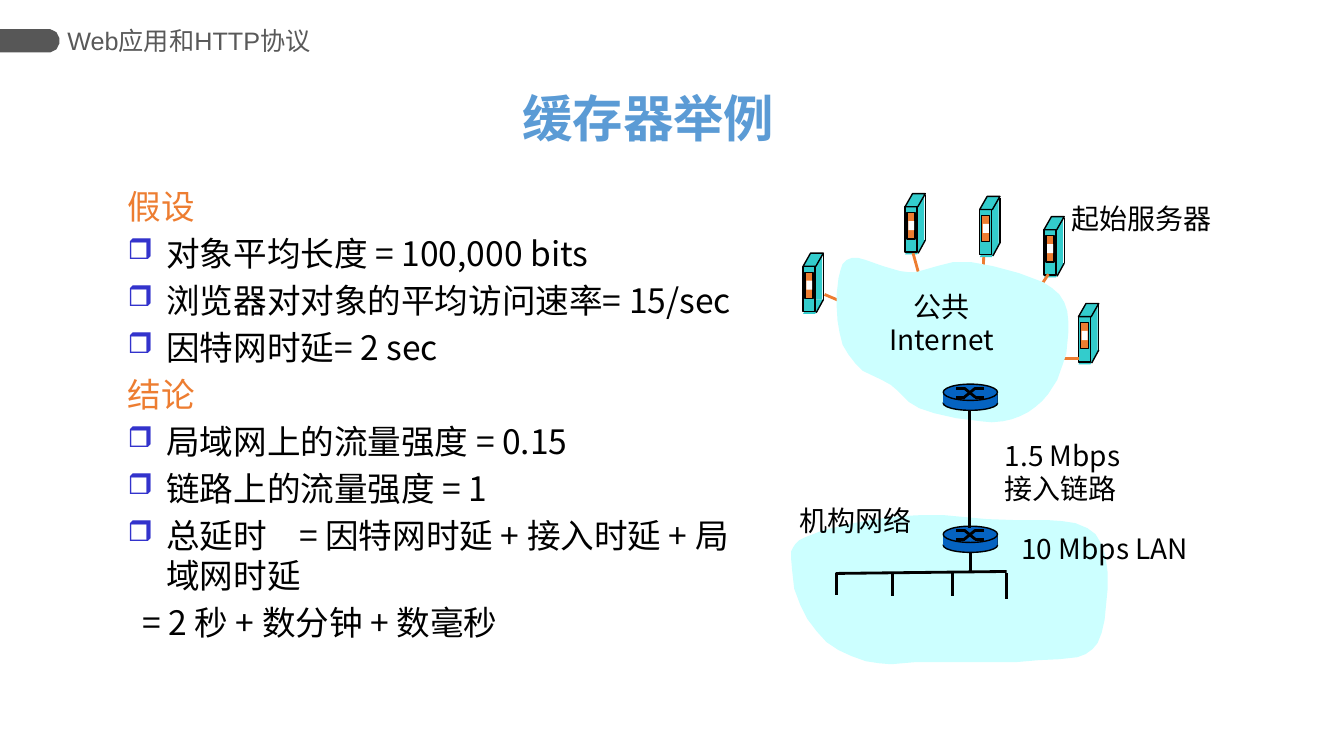
from dataclasses import dataclass
from math import cos, pi, sin
from typing import NamedTuple, Optional, Sequence, Union

from lxml.etree import SubElement
from pptx import Presentation
from pptx.dml.color import RGBColor
from pptx.enum.shapes import MSO_CONNECTOR, MSO_SHAPE
from pptx.enum.text import MSO_ANCHOR, PP_ALIGN
from pptx.oxml.ns import qn
from pptx.util import Cm, Pt


@dataclass(frozen=True)
class Theme:
    black: str = "000000"
    white: str = "FFFFFF"
    orange: str = "ED7D31"
    title: str = "5B9BD5"
    header: str = "595959"
    tab: str = "575757"
    bullet: str = "3333CC"
    server: str = "33CCCC"
    router: str = "0563C1"
    cloud: str = "CCFFFF"
    title_size: int = 36
    body_size: int = 24
    label_size: int = 20
    header_size: int = 18
    latin: str = "Arial"
    cjk: str = "Noto Sans CJK SC"


T = Theme()


class Block(NamedTuple):
    kind: MSO_SHAPE
    x: float
    y: float
    w: float
    h: float
    fill: str
    outlined: bool = False
    slant: Optional[float] = None


class Line(NamedTuple):
    x1: float
    y1: float
    x2: float
    y2: float
    color: str = T.black
    weight: float = 2


class Label(NamedTuple):
    lines: Sequence[str]
    x: float
    y: float
    w: float
    h: float
    align: PP_ALIGN


class Item(NamedTuple):
    text: str
    bulleted: bool = True
    color: str = T.black
    first: float = -0.97
    tab: Optional[float] = None


Part = Union[Block, Line]
RECT, OVAL, SLANTED = MSO_SHAPE.RECTANGLE, MSO_SHAPE.OVAL, MSO_SHAPE.PARALLELOGRAM

SERVER = [
    Block(SLANTED, 0, 1.17, 0.51, 0.36, T.server, slant=0.57),
    Block(RECT, 0.25, 0, 0.23, 1.17, T.server),
    Block(RECT, 0, 0.33, 0.3, 1.14, T.server, True),
    Block(SLANTED, 0, 0, 0.51, 0.33, T.server, True, 0.57),
    Line(0.51, 0.03, 0.51, 1.17, weight=1),
    Line(0.51, 1.17, 0.33, 1.5, weight=1),
    Block(RECT, 0.05, 0.48, 0.2, 0.66, T.orange, True),
    Block(RECT, 0.08, 0.69, 0.15, 0.23, T.white),
]
SERVERS_AT = [(20.24, 6.38), (22.81, 4.88), (24.69, 4.95), (26.31, 5.46), (27.18, 7.65)]
SERVER_LINKS = [
    Line(20.78, 7.42, 21.56, 7.75, T.orange),
    Line(23.01, 6.38, 23.22, 7.14, T.orange),
    Line(24.79, 6.48, 24.77, 7.14, T.orange),
    Line(26.42, 6.91, 26.04, 7.49, T.orange),
    Line(27.18, 9.04, 26.49, 9.04, T.orange),
]
ROUTER = [
    Block(OVAL, 0, 0.3, 1.37, 0.36, T.router, True),
    *[Line(x, 0.25, x, 0.48, weight=1) for x in (0, 1.37)],
    Block(RECT, 0, 0.25, 1.37, 0.23, T.router),
    Block(OVAL, 0, 0, 1.37, 0.41, T.router, True),
]
for a, b in ((0.1, 0.33), (0.33, 0.1)):
    ROUTER += [Line(0.33, a, 0.56, a), Line(0.79, b, 1.02, b), Line(0.53, a, 0.81, b)]

LAN = [Line(21.06, 14.45, 25.37, 14.4)]
LAN += [Line(x, 14.45, x, y) for x, y in
        ((21.08, 14.99), (22.5, 15.01), (24, 15.01), (25.37, 15.09))]
UPLINKS = [Line(24.43, 10.36, 24.43, 13.31), Line(24.46, 13.92, 24.46, 14.4)]

# Cloud outlines on a grid of 0.0254 cm
GRID = Cm(0.0254)
INTERNET = [
    (831, 318), (830, 302), (830, 293), (832, 276), (834, 268), (836, 262), (840, 258),
    (845, 256), (852, 256), (859, 258), (876, 264), (893, 269), (901, 270), (909, 270),
    (916, 268), (930, 264), (946, 260), (963, 260), (985, 264), (1011, 271), (1035, 280),
    (1044, 286), (1051, 292), (1056, 300), (1059, 309), (1060, 319), (1060, 330),
    (1058, 351), (1055, 360), (1049, 377), (1040, 391), (1034, 398), (1027, 404),
    (1020, 409), (1012, 413), (1004, 416), (995, 418), (984, 419), (973, 418), (949, 415),
    (927, 410), (912, 405), (902, 399), (891, 388), (884, 382), (875, 377), (856, 368),
    (849, 361), (842, 352), (836, 342), (833, 330)]
CAMPUS = [
    (786, 566), (785, 555), (785, 547), (787, 543), (789, 540), (793, 536), (799, 533),
    (817, 526), (842, 520), (869, 515), (894, 512), (915, 511), (936, 511), (957, 513),
    (979, 515), (1007, 516), (1039, 516), (1054, 517), (1067, 519), (1079, 524), (1087, 530),
    (1093, 540), (1097, 553), (1099, 568), (1099, 584), (1096, 615), (1093, 628),
    (1089, 638), (1084, 644), (1077, 649), (1069, 652), (1051, 654), (1030, 655),
    (1007, 657), (967, 657), (907, 657), (884, 659), (872, 658), (859, 656), (845, 651),
    (832, 645), (820, 637), (810, 626), (801, 614), (794, 600), (788, 584)]
HEADER_TAB = [(0, 29)] + [
    (47.5 + 11.5 * cos(k * pi / 16), 40.5 + 11.5 * sin(k * pi / 16)) for k in range(-8, 9)
] + [(0, 52)]

ITEMS = [
    Item("假设", False, T.orange),
    Item("对象平均长度 = 100,000 bits"),
    Item("浏览器对对象的平均访问速率= 15/sec"),
    Item("因特网时延= 2 sec"),
    Item("结论", False, T.orange),
    Item("局域网上的流量强度 = 0.15"),
    Item("链路上的流量强度 = 1"),
    Item("总延时\t= 因特网时延 + 接入时延 + 局域网时延", tab=4.32),
    Item("= 2 秒 + 数分钟 + 数毫秒", False, first=-0.6),
]
LABELS = [
    Label(["起始服务器"], 26.7, 4.95, 4.09, 1.12, PP_ALIGN.RIGHT),
    Label(["公共", "Internet"], 22.02, 7.16, 3.43, 1.96, PP_ALIGN.CENTER),
    Label(["机构网络"], 19.89, 12.57, 3.35, 1.12, PP_ALIGN.CENTER),
    Label(["10 Mbps LAN"], 25.25, 13.28, 5.18, 1.12, PP_ALIGN.CENTER),
    Label(["1.5 Mbps", "接入链路"], 25.07, 10.92, 4.8, 1.96, PP_ALIGN.LEFT),
]


def rgb(color: str) -> RGBColor:
    return RGBColor.from_string(color)


def draw_parts(shapes, parts: Sequence[Part], dx: float = 0, dy: float = 0) -> None:
    for part in parts:
        if isinstance(part, Line):
            sp = shapes.add_connector(MSO_CONNECTOR.STRAIGHT, Cm(part.x1 + dx), Cm(part.y1 + dy),
                                      Cm(part.x2 + dx), Cm(part.y2 + dy))
            SubElement(sp._element.spPr, qn("a:effectLst"))
            sp.line.color.rgb, sp.line.width = rgb(part.color), Pt(part.weight)
            continue
        sp = shapes.add_shape(part.kind, Cm(part.x + dx), Cm(part.y + dy), Cm(part.w), Cm(part.h))
        if part.slant:
            sp.adjustments[0] = part.slant
        fill_shape(sp, part.fill)
        if part.outlined:
            sp.line.color.rgb, sp.line.width = rgb(T.black), Pt(1)


def fill_shape(sp, color: str) -> None:
    sp.shadow.inherit = False
    sp.fill.solid()
    sp.fill.fore_color.rgb = rgb(color)
    sp.line.fill.background()


def draw_outline(shapes, points: Sequence[tuple], color: str) -> None:
    builder = shapes.build_freeform(*points[0], scale=GRID)
    builder.add_line_segments(points[1:], close=True)
    fill_shape(builder.convert_to_shape(), color)


def add_box(shapes, x: float, y: float, w: float, h: float, **frame):
    tf = shapes.add_textbox(Cm(x), Cm(y), Cm(w), Cm(h)).text_frame
    for name, value in {"word_wrap": True, **frame}.items():
        setattr(tf, name, value)
    return tf


def write(p, text: str, size: int, color: str, font: str = T.cjk, bold: bool = False) -> None:
    r = p.add_run()
    r.text = text
    for name, value in {"name": font, "size": Pt(size), "bold": bold}.items():
        setattr(r.font, name, value)
    r.font.color.rgb = rgb(color)
    SubElement(r.font._element, qn("a:ea"), typeface=T.cjk)


def next_paragraph(tf, index: int):
    return tf.add_paragraph() if index else tf.paragraphs[0]


def format_item(p, item: Item) -> None:
    """Set the hanging indent, bullet and tab stop of a list paragraph."""
    pPr = p._p.get_or_add_pPr()
    pPr.set("marL", str(Cm(0.97)))
    pPr.set("indent", str(Cm(item.first)))
    if item.bulleted:
        SubElement(SubElement(pPr, qn("a:buClr")), qn("a:srgbClr"), val=T.bullet)
        SubElement(pPr, qn("a:buSzPct"), val="85000")
        SubElement(pPr, qn("a:buChar"), char="❒")
    else:
        SubElement(pPr, qn("a:buNone"))
    if item.tab:
        SubElement(SubElement(pPr, qn("a:tabLst")), qn("a:tab"), pos=str(Cm(item.tab)), algn="l")


def add_texts(shapes) -> None:
    tf = add_box(shapes, 5.69, 1.47, 21.59, 3.18, vertical_anchor=MSO_ANCHOR.MIDDLE)
    p = tf.paragraphs[0]
    p.alignment, p.line_spacing = PP_ALIGN.CENTER, 0.9
    write(p, "缓存器举例 ", T.title_size, T.title, T.latin, True)

    tf = add_box(shapes, 2.97, 4.55, 16.21, 11.15)
    for i, item in enumerate(ITEMS):
        p = next_paragraph(tf, i)
        format_item(p, item)
        p.line_spacing, p.space_before = Pt(1.2 * T.body_size), Pt(4.8 if i else 0)
        write(p, item.text, T.body_size, item.color)

    tf = add_box(shapes, 1.7, 0.48, 6.68, 1.07, vertical_anchor=MSO_ANCHOR.MIDDLE,
                 margin_left=0, margin_right=0)
    write(tf.paragraphs[0], "Web应用和HTTP协议", T.header_size, T.header, T.latin)

    for label in LABELS:
        tf = add_box(shapes, *label[1:5], word_wrap=False)
        for i, text in enumerate(label.lines):
            p = next_paragraph(tf, i)
            p.alignment, p.line_spacing = label.align, Pt(1.2 * T.label_size)
            write(p, text, T.label_size, T.black)


def main() -> None:
    prs = Presentation()
    prs.slide_width, prs.slide_height = Cm(33.87), Cm(19.05)
    shapes = prs.slides.add_slide(prs.slide_layouts[6]).shapes
    draw_outline(shapes, HEADER_TAB, T.tab)
    for at in SERVERS_AT:
        draw_parts(shapes, SERVER, *at)
    draw_parts(shapes, SERVER_LINKS)
    draw_outline(shapes, INTERNET, T.cloud)
    draw_outline(shapes, CAMPUS, T.cloud)
    draw_parts(shapes, LAN)
    for y in (9.68, 13.26):
        draw_parts(shapes, ROUTER, 23.77, y)
    draw_parts(shapes, UPLINKS)
    add_texts(shapes)
    prs.save("out.pptx")


if __name__ == "__main__":
    main()
